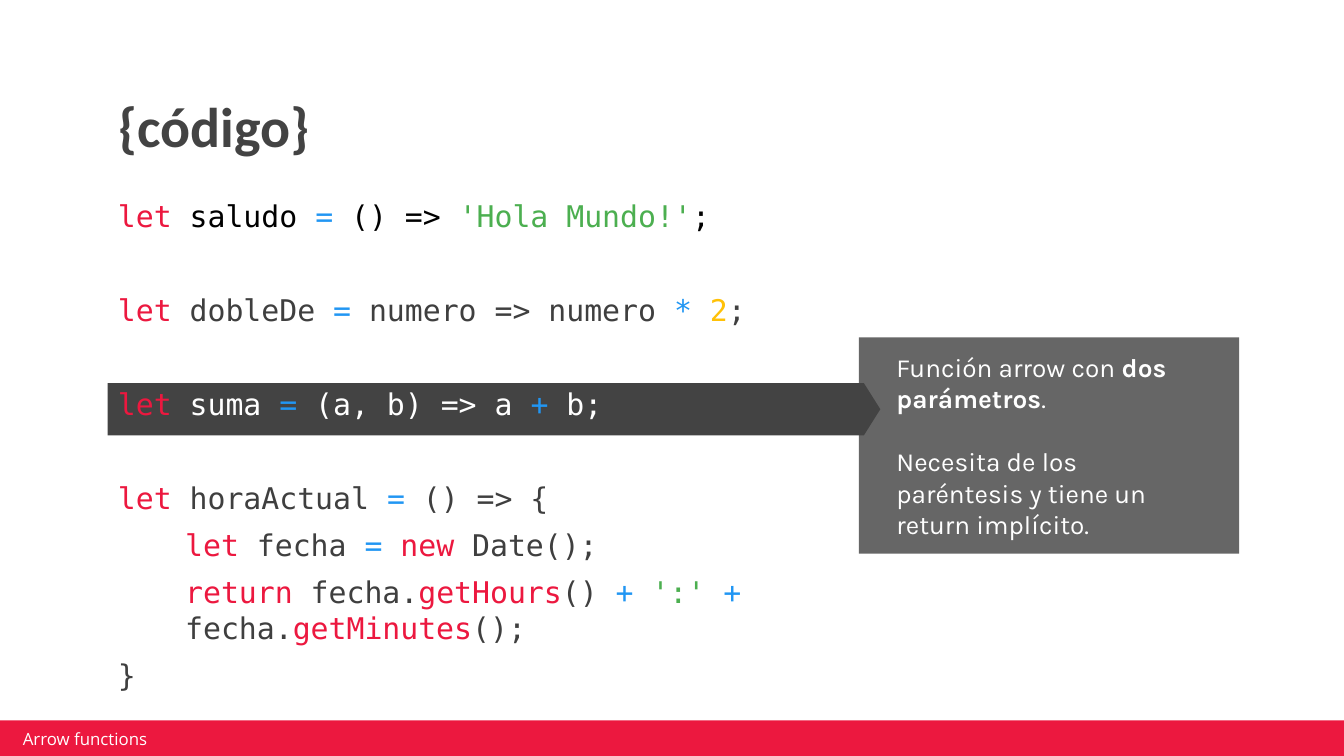
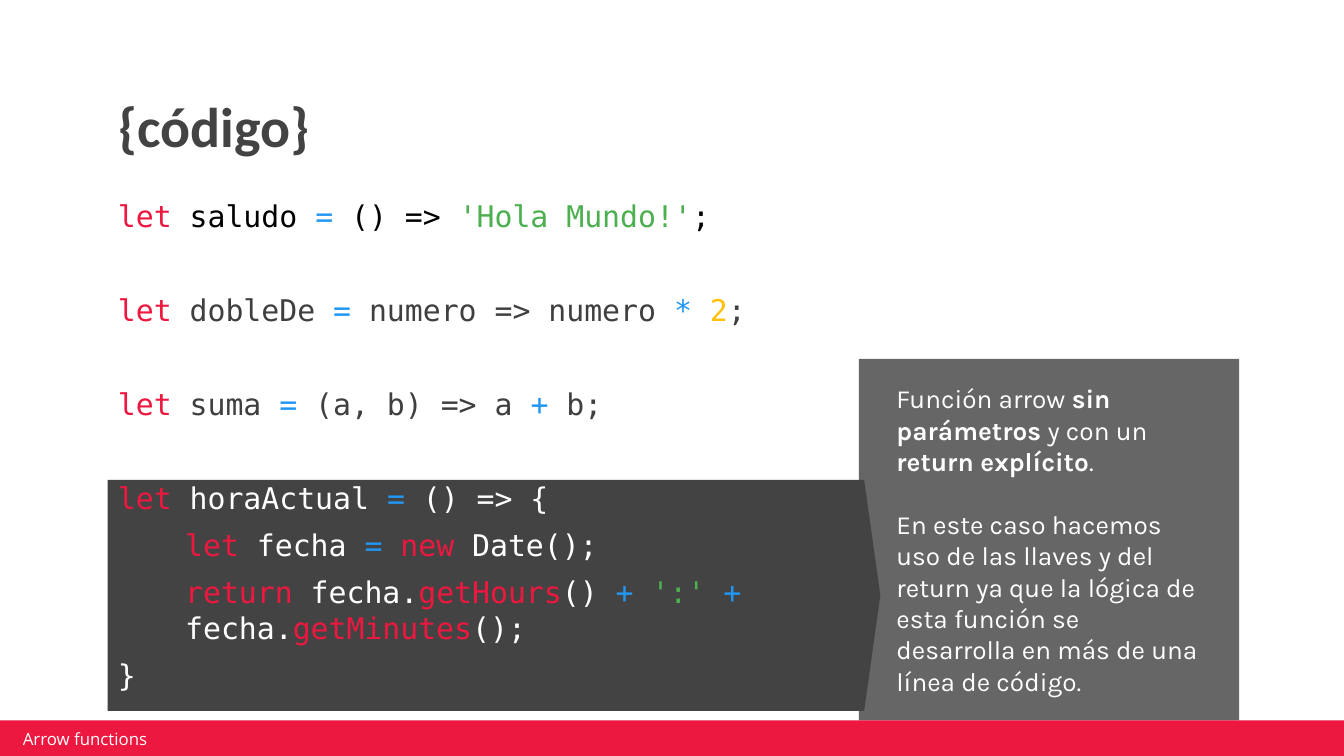
from dataclasses import dataclass
from enum import Enum
from typing import NamedTuple

from pptx import Presentation
from pptx.dml.color import RGBColor as RGB
from pptx.enum.shapes import MSO_SHAPE as Shape
from pptx.enum.text import MSO_ANCHOR as Anchor, MSO_AUTO_SIZE as AutoSize, PP_ALIGN as Align
from pptx.util import Inches, Pt


@dataclass(frozen=True)
class Theme:
    red: str = "EC183F"
    blue: str = "2196F3"
    green: str = "4CAF50"
    amber: str = "FFC107"
    black: str = "000000"
    white: str = "FFFFFF"
    code: str = "3F3F3F"
    dark: str = "434343"
    panel: str = "666666"
    title_font: str = "Calibri"
    code_font: str = "DejaVu Sans Mono"
    note_font: str = "Karla"
    footer_font: str = "Open Sans"
    title_size: float = 30
    code_size: float = 16
    note_size: float = 14
    footer_size: float = 9
    line_gap: float = 6
    block_gap: float = 31.2
    note_gap: float = 16.8


THEME = Theme()


class Role(Enum):
    KEYWORD = THEME.red
    OPERATOR = THEME.blue
    STRING = THEME.green
    NUMBER = THEME.amber
    PLAIN = None


KEY, OP, STR, NUM, TXT = Role


class Box(NamedTuple):
    left: float
    top: float
    width: float
    height: float

    def lengths(self) -> list:
        return [Inches(v) for v in self]


class Line(NamedTuple):
    tokens: list
    indent: float = 0


class Block(NamedTuple):
    lines: list
    color: str = THEME.code


class Highlight(NamedTuple):
    """A code block singled out by an arrow and explained in a note."""
    block: int
    arrow: Box
    head: float
    note: Box
    paragraphs: list


TITLE_BOX = Box(0.78, 0.6, 8.43, 0.69)
CODE_BOX = Box(0.78, 1.45, 5.56, 3.72)
BAR_BOX = Box(-0.02, 5.36, 10.03, 0.27)
FOOTER_BOX = Box(0.12, 5.42, 2.39, 0.15)
NOTE_INDENT = 0.28
BODY_INDENT = 0.5

BLOCKS = [
    Block([Line([("let", KEY), (" saludo ", TXT), ("=", OP), (" () => ", TXT),
                 ("'Hola Mundo!'", STR), (";", TXT)])], THEME.black),
    Block([Line([("let", KEY), (" dobleDe ", TXT), ("=", OP),
                 (" numero => numero ", TXT), ("* ", OP), ("2", NUM), (";", TXT)])]),
    Block([Line([("let", KEY), (" suma ", TXT), ("=", OP), (" (a, b) => a ", TXT),
                 ("+", OP), (" b;", TXT)])]),
    Block([
        Line([("let", KEY), (" horaActual ", TXT), ("=", OP), (" () => {", TXT)]),
        Line([("let", KEY), (" fecha ", TXT), ("= ", OP), ("new", KEY),
              (" Date();", TXT)], BODY_INDENT),
        Line([("return", KEY), (" fecha.", TXT), ("getHours", KEY), ("() ", TXT),
              ("+ ", OP), ("':' ", STR), ("+ ", OP), ("fecha.", TXT),
              ("getMinutes", KEY), ("();", TXT)], BODY_INDENT),
        Line([("}", TXT)]),
    ]),
]

# Asterisks enclose the bold parts of a note.
HIGHLIGHTS = [
    Highlight(2, Box(0.8, 2.85, 5.75, 0.39), 0.314, Box(6.39, 2.51, 2.83, 1.61), [
        "Función arrow con *dos parámetros*.",
        "Necesita de los paréntesis y tiene un return implícito.",
    ]),
    Highlight(3, Box(0.8, 3.57, 5.75, 1.72), 0.07, Box(6.39, 2.67, 2.83, 2.69), [
        "Función arrow *sin parámetros* y con un *return explícito*.",
        "En este caso hacemos uso de las llaves y del return ya que la lógica de "
        "esta función se desarrolla en más de una línea de código.",
    ]),
]


def set_values(target, **values) -> None:
    for name, value in values.items():
        setattr(target, name, value)


def set_frame(tf, anchor: Anchor, inset_x: float, inset_y: float) -> None:
    set_values(tf, word_wrap=True, auto_size=AutoSize.NONE, vertical_anchor=anchor,
               margin_left=Inches(inset_x), margin_right=Inches(inset_x),
               margin_top=Inches(inset_y), margin_bottom=Inches(inset_y))


def add_run(p, text: str, font: str, size: float, color: str, bold: bool = False) -> None:
    r = p.add_run()
    r.text = text
    set_values(r.font, name=font, size=Pt(size), bold=bold)
    r.font.color.rgb = RGB.from_string(color)


def add_paragraph(tf, first: bool, gap: float = 0, indent: float = 0):
    p = tf.paragraphs[0] if first else tf.add_paragraph()
    set_values(p, alignment=Align.LEFT, space_before=Pt(gap))
    if indent:
        p._p.get_or_add_pPr().set("marL", str(Inches(indent)))
    return p


def add_filled(slide, kind: Shape, box: Box, color: str):
    sp = slide.shapes.add_shape(kind, *box.lengths())
    sp.shadow.inherit = False
    sp.fill.solid()
    sp.fill.fore_color.rgb = RGB.from_string(color)
    sp.line.fill.background()
    return sp


def add_title(slide, text: str) -> None:
    sp = slide.shapes.title
    set_values(sp, **dict(zip(("left", "top", "width", "height"), TITLE_BOX.lengths())))
    set_frame(sp.text_frame, Anchor.BOTTOM, 0.1, 0.1)
    p = add_paragraph(sp.text_frame, True)
    p.line_spacing = 0.9
    add_run(p, text, THEME.title_font, THEME.title_size, THEME.dark, True)


def add_note(slide, item: Highlight) -> None:
    tf = add_filled(slide, Shape.RECTANGLE, item.note, THEME.panel).text_frame
    set_frame(tf, Anchor.MIDDLE, 0, 0)
    tf.margin_right = Inches(NOTE_INDENT)
    for i, text in enumerate(item.paragraphs):
        p = add_paragraph(tf, i == 0, THEME.note_gap if i else 0, NOTE_INDENT)
        for j, part in enumerate(text.split("*")):
            add_run(p, part, THEME.note_font, THEME.note_size, THEME.white, j % 2 == 1)


def add_arrow(slide, item: Highlight) -> None:
    sp = add_filled(slide, Shape.RIGHT_ARROW, item.arrow, THEME.dark)
    sp.adjustments[0] = 1
    sp.adjustments[1] = item.head


def add_code(slide, highlighted: int) -> None:
    tf = slide.shapes.add_textbox(*CODE_BOX.lengths()).text_frame
    set_frame(tf, Anchor.MIDDLE, 0.1, 0.1)
    for i, block in enumerate(BLOCKS):
        plain = THEME.white if i == highlighted else block.color
        for j, line in enumerate(block.lines):
            gap = THEME.block_gap if i and not j else THEME.line_gap
            p = add_paragraph(tf, i == j == 0, gap, line.indent)
            for text, role in line.tokens:
                add_run(p, text, THEME.code_font, THEME.code_size, role.value or plain)


def add_footer(slide, text: str) -> None:
    add_filled(slide, Shape.RECTANGLE, BAR_BOX, THEME.red)
    tf = slide.shapes.add_textbox(*FOOTER_BOX.lengths()).text_frame
    set_frame(tf, Anchor.MIDDLE, 0.05, 0.02)
    add_run(add_paragraph(tf, True), text, THEME.footer_font, THEME.footer_size, THEME.white)


def main() -> None:
    prs = Presentation()
    set_values(prs, slide_width=Inches(10), slide_height=Inches(5.625))
    title_only = prs.slide_layouts[5]
    for item in HIGHLIGHTS:
        slide = prs.slides.add_slide(title_only)
        add_title(slide, "{código}")
        add_note(slide, item)
        add_arrow(slide, item)
        add_code(slide, item.block)
        add_footer(slide, "Arrow functions")
    prs.save("out.pptx")


if __name__ == "__main__":
    main()
